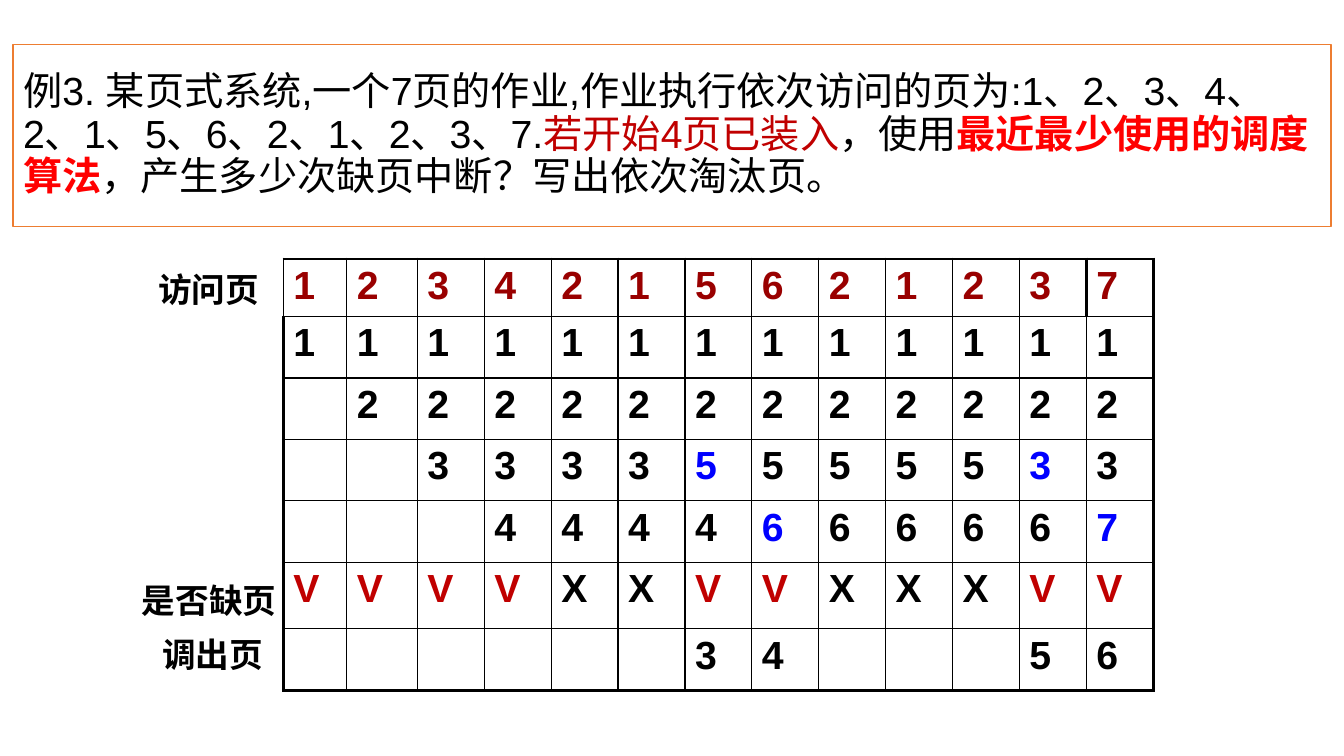
import pptx
import pptx.util
import pptx.dml.color
import pptx.enum.text
import pptx.oxml
import pptx.oxml.ns

Inches = pptx.util.Inches
Pt = pptx.util.Pt

TASK = [
    ("例3. 某页式系统,一个7页的作业,作业执行依次访问的页为:"
     "1、2、3、4、2、1、5、6、2、1、2、3、7.", "000000", False),
    ("若开始4页已装入", "C00000", False),
    ("，使用", "000000", False),
    ("最近最少使用的调度算法", "FF0000", True),
    ("，产生多少次缺页中断？写出依次淘汰页。", "000000", False),
]

# One character per column: pages asked for, four frames, faults, pages out
GRID = [
    "1234215621237",
    "1111111111111",
    " 222222222222",
    "  33335555533",
    "   4444666667",
    "VVVVXXVVXXXVV",
    "      34   56",
]
ROWS = [0.57, 0.61, 0.61, 0.61, 0.61, 0.66, 0.61]
LEAD = [0.63, 0.7]  # the first two columns; the others share the rest

LABELS = [
    ("调出页", (1.51, 6.24, 1.41, 0.5)),
    ("是否缺页", (1.31, 5.7, 1.65, 0.5)),
    ("访问页", (1.47, 2.62, 1.34, 0.5)),
]


def rgb(code):
    return pptx.dml.color.RGBColor.from_string(code)


def style(item, form):
    for name, value in form.items():
        setattr(item, name, value)


def write(para, text, size, code, bold):
    run = para.add_run()
    run.text = text
    style(run.font, {"name": "Arial", "size": Pt(size), "bold": bold})
    run.font.color.rgb = rgb(code)


def place(box):
    names = ("left", "top", "width", "height")
    return {name: Inches(value) for name, value in zip(names, box)}


def add_task(slide, box):
    title = slide.shapes.title
    style(title, place(box))
    title.fill.solid()
    title.fill.fore_color.rgb = rgb("FFFFFF")
    title.line.color.rgb = rgb("ED7D31")
    title.line.width = Pt(1)
    frame = title.text_frame
    style(frame, {
        "word_wrap": True,
        "auto_size": pptx.enum.text.MSO_AUTO_SIZE.NONE,
        "vertical_anchor": pptx.enum.text.MSO_ANCHOR.MIDDLE,
    })
    para = frame.paragraphs[0]
    style(para, {"alignment": pptx.enum.text.PP_ALIGN.LEFT,
                 "line_spacing": 0.9})
    for text, code, bold in TASK:
        write(para, text, 28, code, bold)


def tint(row, col):
    """Blue marks a page newly swapped into a frame."""
    mark = GRID[row][col]
    if row == 0:
        return "990000"
    if mark == "V":
        return "C00000"
    if 1 <= row <= 4 and col and GRID[row][col - 1] not in (" ", mark):
        return "0000FF"
    return "000000"


def edge(cell, sides):
    props = cell._tc.get_or_add_tcPr()
    for spot, (side, width) in enumerate(sides.items()):
        props.insert(spot, pptx.oxml.parse_xml(
            f'<a:ln{side} {pptx.oxml.ns.nsdecls("a")} w="{Pt(width)}">'
            '<a:solidFill><a:srgbClr val="000000"/></a:solidFill>'
            f'</a:ln{side}>'))


def add_grid(slide, box):
    high, wide = len(GRID), len(GRID[0])
    table = slide.shapes.add_table(high, wide, **place(box)).table
    style(table, {"first_row": False, "horz_banding": False})
    rest = wide - len(LEAD)
    widths = LEAD + [(box[2] - sum(LEAD)) / rest] * rest
    for column, width in zip(table.columns, widths):
        column.width = Inches(width)
    for line, height in zip(table.rows, ROWS):
        line.height = Inches(height)

    last = wide - 1
    for row, marks in enumerate(GRID):
        for col, mark in enumerate(marks):
            cell = table.cell(row, col)
            cell.fill.background()
            # Thick frame, and a thick line before the last page asked for
            thick = {
                "L": (col == 0 and row > 0) or (row == 0 and col == last),
                "R": col == last or (row == 0 and col == last - 1),
                "T": row == 0,
                "B": row == high - 1,
            }
            edge(cell, {side: 2.25 if on else 1
                        for side, on in thick.items()})
            if mark != " ":
                write(cell.text_frame.paragraphs[0], mark, 28,
                      tint(row, col), True)


def add_label(slide, text, box):
    frame = slide.shapes.add_textbox(**place(box)).text_frame
    style(frame, {"word_wrap": True,
                  "auto_size": pptx.enum.text.MSO_AUTO_SIZE.SHAPE_TO_FIT_TEXT})
    write(frame.paragraphs[0], text, 24, "000000", True)


def main():
    deck = pptx.Presentation()
    style(deck, {"slide_width": Inches(13.33), "slide_height": Inches(7.5)})
    slide = deck.slides.add_slide(deck.slide_layouts[5])

    # Question
    add_task(slide, (0.13, 0.44, 13.07, 1.81))
    # Page table
    add_grid(slide, (2.81, 2.57, 8.63, 4.27))
    # Row labels
    for text, box in LABELS:
        add_label(slide, text, box)

    deck.save("out.pptx")


if __name__ == "__main__":
    main()
